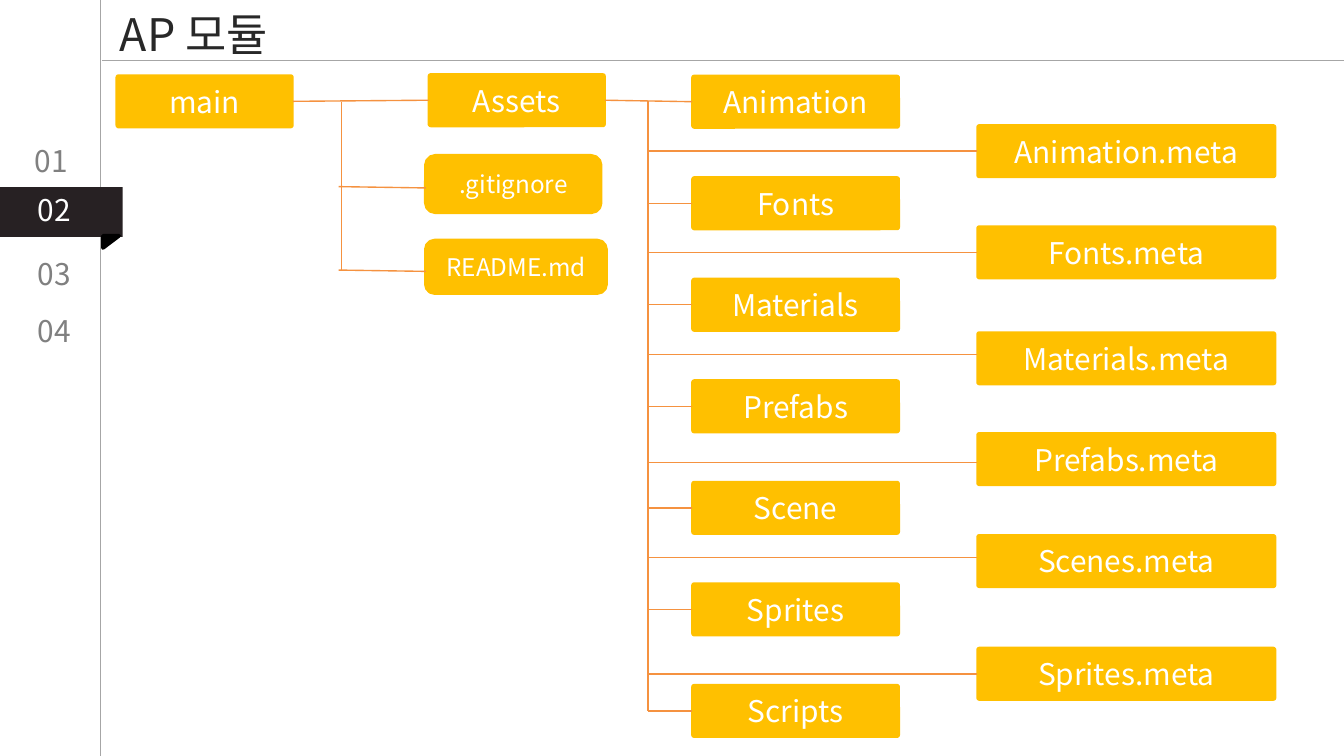
from pptx import Presentation
from pptx.dml.color import RGBColor
from pptx.enum.shapes import MSO_CONNECTOR, MSO_SHAPE
from pptx.enum.text import MSO_ANCHOR, PP_ALIGN
from pptx.oxml.ns import qn
from pptx.util import Pt
from lxml import etree

LINE = MSO_CONNECTOR.STRAIGHT
RECT, ROUND = MSO_SHAPE.RECTANGLE, MSO_SHAPE.ROUNDED_RECTANGLE
TRIANGLE = MSO_SHAPE.RIGHT_TRIANGLE
CENTER, LEFT_ALIGN = PP_ALIGN.CENTER, PP_ALIGN.LEFT
MIDDLE = MSO_ANCHOR.MIDDLE
LEFT, RIGHT = 1, 3  # connection sites

# Content
FONT = "Noto Sans CJK KR"
AMBER, ORANGE, WHITE = "FFC000", "F59240", "FFFFFF"
GREY, RULE, DARK, BLACK = "808080", "A6A6A6", "272123", "000000"
TITLE = "AP 모듈 "
NAV = [("01", 11.5, 72.7, GREY), ("02", 13, 99.4, WHITE),
       ("03", 13, 133.2, GREY), ("04", 13, 164.2, GREY)]  # text, left, top
FOLDERS = ["Animation", "Fonts", "Materials", "Prefabs", "Scene", "Sprites",
           "Scripts"]
METAS = [("Animation.meta", 67, 81), ("Fonts.meta", 121.2, 135.2),
         ("Materials.meta", 178, 190), ("Prefabs.meta", 232, 247.7),
         ("Scenes.meta", 286.6, 298.8),
         ("Sprites.meta", 347, 361)]  # text, box top, branch height
FILES = [(".gitignore", 83.5, 93.6, 30.2, 100), ("README.md", 128.9, 96.5, 28.1, 144.7)]

# Layout
BOX_H = 28
FOLDER_X, FOLDER_Y, FOLDER_W, FOLDER_STEP = 370.8, 40.5, 110.9, 54.4
META_X, META_W = 523.5, 159.8
FILE_X, FILE_TRUNK, TRUNK = 228.2, 182.9, 347.2

prs = Presentation()
prs.slide_width, prs.slide_height = Pt(720), Pt(405)
s = prs.slides.add_slide(prs.slide_layouts[6])


def color(value):
    return RGBColor.from_string(value)


def add_shape(kind, x, y, w, h, fill, line=0):
    sp = s.shapes.add_shape(kind, Pt(x), Pt(y), Pt(w), Pt(h))
    sp.shadow.inherit = False
    sp.fill.solid()
    sp.fill.fore_color.rgb = color(fill)
    if line:
        sp.line.color.rgb = color(fill)
        sp.line.width = Pt(line)
    else:
        sp.line.fill.background()
    return sp


def write(sp, text, size, ink, align=CENTER, wrap=True):
    tf = sp.text_frame
    tf.word_wrap = wrap
    p = tf.paragraphs[0]
    p.alignment = align
    r = p.add_run()
    r.text = text
    r.font.size = Pt(size)
    r.font.name = FONT
    r.font.color.rgb = color(ink)
    etree.SubElement(r.font._element, qn("a:ea")).set("typeface", FONT)


def add_label(x, y, w, h, *text):
    write(s.shapes.add_textbox(Pt(x), Pt(y), Pt(w), Pt(h)), *text)


def add_box(text, x, y, w, h=BOX_H, size=16, corner=0.042, line=1):
    sp = add_shape(ROUND, x, y, w, h, AMBER, line)
    sp.adjustments[0] = corner
    sp.text_frame.vertical_anchor = MIDDLE
    write(sp, text, size, WHITE)
    return sp


def add_line(x1, y1, x2, y2, ink=ORANGE, start=None, end=None):
    c = s.shapes.add_connector(LINE, Pt(x1), Pt(y1), Pt(x2), Pt(y2))
    if start:
        c.begin_connect(start, RIGHT)
    if end:
        c.end_connect(end, LEFT)
    c.line.color.rgb = color(ink)
    c.line.width = Pt(0.75)
    etree.SubElement(c._element.spPr, qn("a:effectLst"))


# Frame rules, section marker and navigation
add_line(54, 0, 54, 405, RULE)
add_line(54.7, 32.4, 720, 32.4, RULE)
add_shape(RECT, 0, 100.2, 65.7, 26.8, DARK)
add_shape(TRIANGLE, 56.2, 125.3, 6.5, 8.6, BLACK, 2).rotation = 90
for text, x, y, ink in NAV:
    add_label(x, y, 35.3, 26.6, text, 16, ink, LEFT_ALIGN)
add_label(53.3, 0, 106.6, 35.3, TITLE, 24, "282828", CENTER, False)

# Root and assets
main = add_box("main", 62.4, 40.3, 94.5)
assets = add_box("Assets", 229.6, 39.7, 94.5)
add_line(156.9, 54.3, 229.6, 53.7, start=main, end=assets)

# Files beside the assets folder
for text, y, w, h, branch_y in FILES:
    add_box(text, FILE_X, y, w, h, 13, 0.167, 2)
    add_line(181.4, branch_y, FILE_X, branch_y + 0.7)
add_line(FILE_TRUNK, 54.5, FILE_TRUNK, 145.4)

# Folders, one even step apart
for i, text in enumerate(FOLDERS):
    y = FOLDER_Y + i * FOLDER_STEP
    mid = y + BOX_H / 2
    folder = add_box(text, FOLDER_X, y, FOLDER_W)
    if i == 0:
        add_line(324.1, 53.7, FOLDER_X, mid, start=assets, end=folder)
    else:
        add_line(TRUNK, mid, FOLDER_X, mid, end=folder)
add_line(TRUNK, 54, TRUNK, mid)

# Meta files, joined where the branch meets the middle of the box
for text, y, branch_y in METAS:
    meta = add_box(text, META_X, y, META_W)
    centred = abs(branch_y - y - BOX_H / 2) < 0.5
    add_line(TRUNK, branch_y, META_X, branch_y, end=meta if centred else None)

prs.save("out.pptx")
